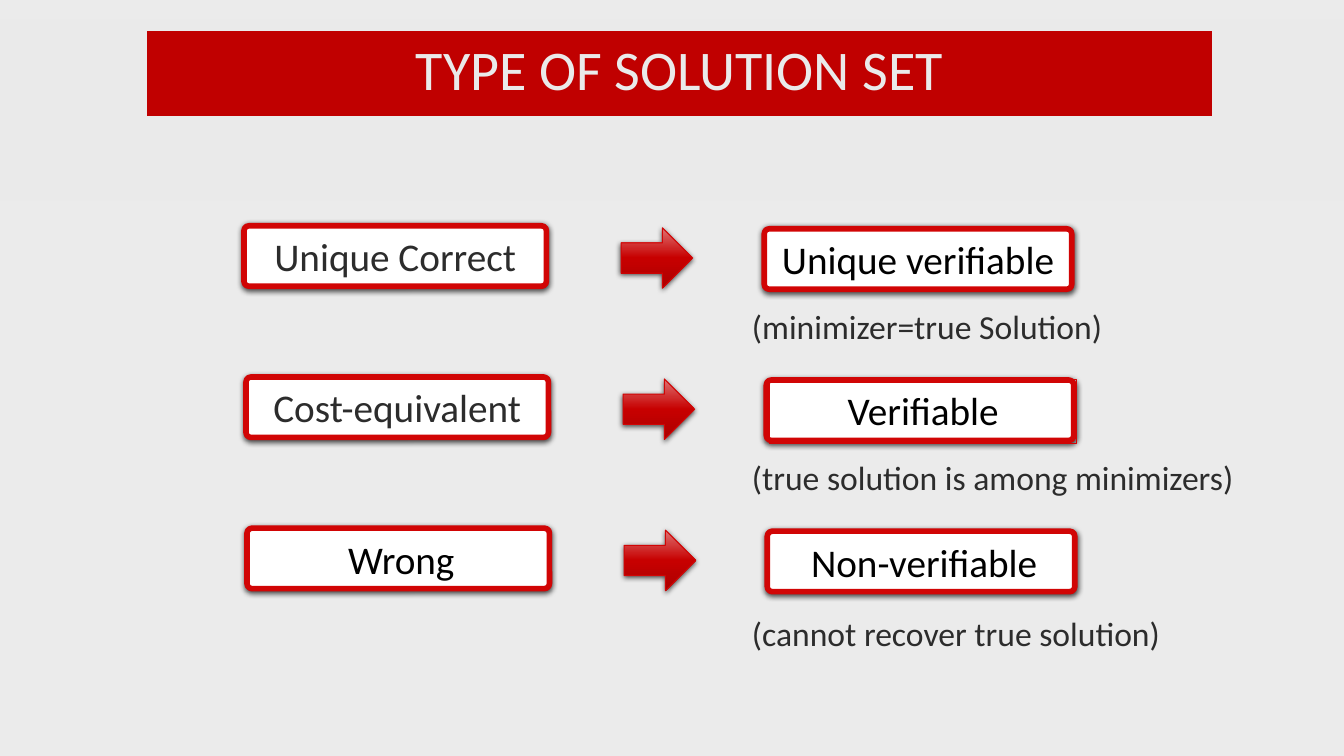
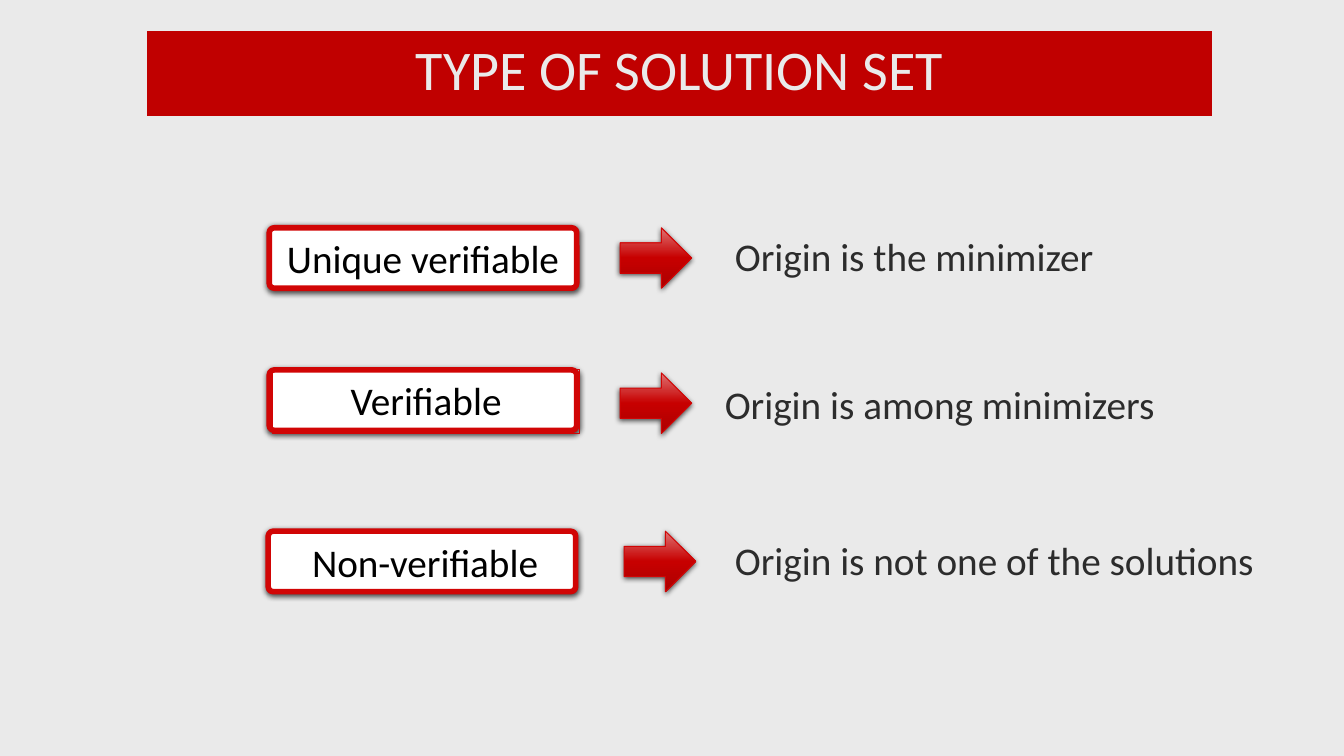
from lxml import etree
from pptx import Presentation
from pptx.dml.color import RGBColor
from pptx.enum.shapes import MSO_SHAPE
from pptx.enum.text import MSO_ANCHOR, PP_ALIGN
from pptx.oxml.ns import qn
from pptx.util import Pt

RECT, ROUNDED, ARROW = MSO_SHAPE.RECTANGLE, MSO_SHAPE.ROUNDED_RECTANGLE, MSO_SHAPE.RIGHT_ARROW
CENTER, LEFT = PP_ALIGN.CENTER, PP_ALIGN.LEFT
MIDDLE, TOP = MSO_ANCHOR.MIDDLE, MSO_ANCHOR.TOP

EMU_PER_PX = 9144
SLIDE_W, SLIDE_H = 1333, 750
FONT = "Calibri"
TITLE_RED, EDGE_RED = "C00000", "D10505"
PALE, WHITE, BLACK, GREY = "EAEAEA", "FFFFFF", "000000", "2C2C2C"
ARROW_STOPS = [(0, "DE7272"), (50, "C70000"), (100, "AB0000")]
BOX_H, ARROW_W = 60, 71
CAUSE_W, VERDICT_W = 300, 305
NUDGE = 3


def px(value):
    return int(value * EMU_PER_PX)


def rgb(value):
    return RGBColor.from_string(value)


def add_color(parent, value):
    color = etree.SubElement(parent, qn("a:srgbClr"))
    color.set("val", value)
    return color


def add_outline(slide, preset, box, fill=None, edge=None, edge_pt=0.75):
    shape = slide.shapes.add_shape(preset, *map(px, box))
    shape.shadow.inherit = False
    if fill:
        shape.fill.solid()
        shape.fill.fore_color.rgb = rgb(fill)
    else:
        shape.fill.background()
    if edge:
        shape.line.color.rgb = rgb(edge)
        shape.line.width = Pt(edge_pt)
    else:
        shape.line.fill.background()
    return shape


def drop_shadow(shape):
    effects = shape._element.spPr.find(qn("a:effectLst"))
    shadow = etree.SubElement(effects, qn("a:outerShdw"))
    settings = {"blurRad": Pt(4), "dist": Pt(1.2), "dir": 5400000, "rotWithShape": 0}
    for key, value in settings.items():
        shadow.set(key, str(int(value)))
    alpha = etree.SubElement(add_color(shadow, BLACK), qn("a:alpha"))
    alpha.set("val", "68000")


def write(shape, text, size, color, align=CENTER, anchor=MIDDLE, wrap=True):
    frame = shape.text_frame
    frame.word_wrap = wrap
    frame.vertical_anchor = anchor
    paragraph = frame.paragraphs[0]
    paragraph.text = text
    paragraph.alignment = align
    paragraph.font.name = FONT
    paragraph.font.size = Pt(size)
    paragraph.font.color.rgb = rgb(color)
    return paragraph


def add_label(slide, x, y, width, text, color=BLACK, nudge=0, framed=False):
    label = add_outline(slide, ROUNDED, (x, y, width, BOX_H), WHITE, EDGE_RED, 4)
    label.adjustments[0] = 0.083
    drop_shadow(label)
    write(label, text, 28, color, wrap=False)
    label.text_frame.margin_left = px(10 + 2 * nudge)
    if framed:
        add_outline(slide, RECT, (x + nudge, y, width, BOX_H + NUDGE), edge=EDGE_RED)


def add_arrow(slide, x, y):
    arrow = add_outline(slide, ARROW, (x, y, ARROW_W, BOX_H), edge=EDGE_RED)
    arrow.fill.gradient()
    arrow.fill.gradient_angle = 270
    stops = arrow._element.spPr.find(".//" + qn("a:gsLst"))
    for old in list(stops):
        stops.remove(old)
    for position, color in ARROW_STOPS:
        stop = etree.SubElement(stops, qn("a:gs"))
        stop.set("pos", str(position * 1000))
        add_color(stop, color)
    drop_shadow(arrow)


def add_note(slide, x, y, width, text, size):
    note = slide.shapes.add_textbox(px(x), px(y), px(width), px(57))
    write(note, text, size, GREY, LEFT, TOP)


def add_title(slide, text):
    banner = add_outline(slide, RECT, (146, 31, 1056, 84), TITLE_RED)
    write(banner, text, 40, PALE).line_spacing = 0.85


def new_slide(prs, background):
    slide = prs.slides.add_slide(prs.slide_layouts[6])
    slide.background.fill.solid()
    slide.background.fill.fore_color.rgb = rgb(background)
    return slide


def verdict_style(verdict):
    return {"nudge": 0 if verdict == "Unique verifiable" else NUDGE,
            "framed": verdict == "Verifiable"}


def add_outcome_row(slide, x, y, cause, cause_color, verdict, note, note_y):
    cause_nudge = NUDGE if cause == "Wrong" else 0
    add_label(slide, x, y, CAUSE_W, cause, cause_color, cause_nudge)
    add_arrow(slide, x + 374, y + 2)
    add_label(slide, x + 516, y + 3, VERDICT_W, verdict, **verdict_style(verdict))
    add_note(slide, 736, note_y, 509, note, 24)


def outcome_slide(prs, title):
    slide = new_slide(prs, "EBEBEB")
    add_outline(slide, RECT, (0, 19, SLIDE_W, 180), PALE)
    add_title(slide, title)
    for row in [
        (242, 224, "Unique Correct", GREY, "Unique verifiable", "(minimizer=true Solution)", 299),
        (244, 374, "Cost-equivalent", GREY, "Verifiable", "(true solution is among minimizers)", 448),
        (245, 524, "Wrong", BLACK, "Non-verifiable", "(cannot recover true solution)", 603),
    ]:
        add_outcome_row(slide, *row)


def add_origin_row(slide, verdict, verdict_at, arrow_at, meaning, meaning_at):
    add_label(slide, *verdict_at, VERDICT_W, verdict, **verdict_style(verdict))
    add_arrow(slide, *arrow_at)
    add_note(slide, *meaning_at, 555, meaning, 28)


def origin_slide(prs, title):
    slide = new_slide(prs, PALE)
    add_title(slide, title)
    for row in [
        ("Unique verifiable", (267, 226), (615, 226), "Origin is the minimizer", (719, 226)),
        ("Verifiable", (267, 367), (615, 370), "Origin is among minimizers", (709, 372)),
        ("Non-verifiable", (266, 527), (619, 527), "Origin is not one of the solutions", (719, 527)),
    ]:
        add_origin_row(slide, *row)


def main():
    prs = Presentation()
    prs.slide_width, prs.slide_height = px(SLIDE_W), px(SLIDE_H)
    title = "TYPE OF SOLUTION SET"
    outcome_slide(prs, title)
    origin_slide(prs, title)
    prs.save("out.pptx")


if __name__ == "__main__":
    main()
